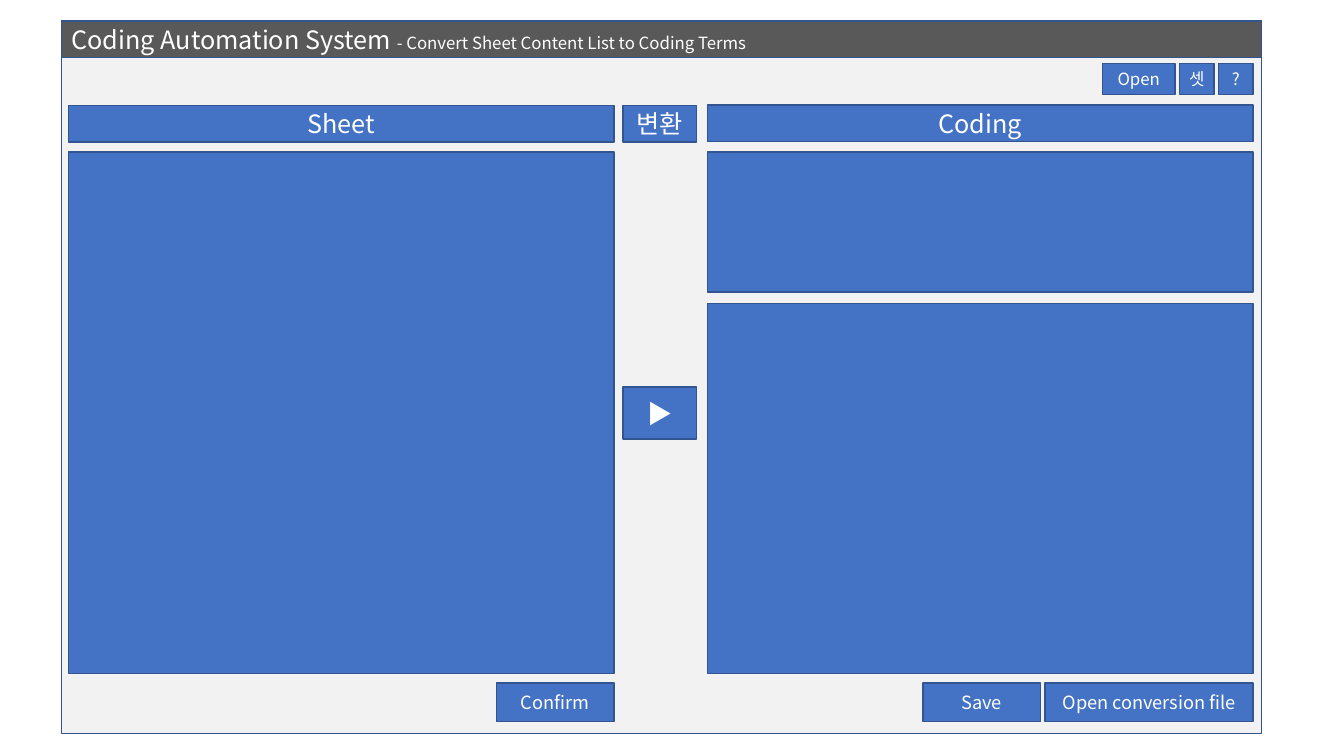
from lxml.etree import SubElement
from pptx import Presentation
from pptx.dml.color import RGBColor
from pptx.enum.shapes import MSO_SHAPE
from pptx.enum.text import MSO_ANCHOR, PP_ALIGN
from pptx.oxml.ns import qn
from pptx.util import Pt

FONT = "Noto Sans CJK KR"
BLUE, EDGE, WHITE = "4472C4", "325491", "FFFFFF"
GRAY, DARK = "F2F2F2", "595959"
LEFT, MID, RIGHT = 49, 445, 505.5
WIDE, SLIM = 389.5, 52.5
HEAD, GAP = 26, 3.3


def color(code):
    """Turn a hex string into a colour."""
    return RGBColor.from_string(code)


def add_run(para, text, size):
    """Add one white run in the slide font."""
    run = para.add_run()
    run.text = text
    run.font.size = Pt(size)
    run.font.name = FONT
    run.font.color.rgb = color(WHITE)
    SubElement(run._r.get_or_add_rPr(), qn("a:ea"), typeface=FONT)


def add_box(slide, x, y, w, h, fill=BLUE):
    """Draw an outlined rectangle."""
    box = slide.shapes.add_shape(MSO_SHAPE.RECTANGLE, Pt(x), Pt(y), Pt(w), Pt(h))
    box.shadow.inherit = False
    box.fill.solid()
    box.fill.fore_color.rgb = color(fill)
    box.line.color.rgb = color(EDGE)
    box.line.width = Pt(1)
    return box


def add_label(box, runs, align=PP_ALIGN.CENTER):
    """Write runs of text and size on one line in a box."""
    frame = box.text_frame
    frame.word_wrap = False
    frame.vertical_anchor = MSO_ANCHOR.MIDDLE
    para = frame.paragraphs[0]
    para.alignment = align
    for text, size in runs:
        add_run(para, text, size)


def add_button(slide, x, y, w, h, text, size=18):
    """Draw a blue box with a centred label."""
    add_label(add_box(slide, x, y, w, h), [(text, size)])


def add_row(slide, end, y, h, size, items):
    """Place buttons from right to left, starting at a right edge."""
    for text, w in items:
        add_button(slide, end - w, y, w, h, text, size)
        end -= w + GAP


def add_window(slide):
    """Draw the window and its title bar."""
    add_box(slide, 44, 15, 857, 509, GRAY)
    bar = add_box(slide, 44, 15, 857, HEAD, DARK)
    add_label(bar, [("Coding Automation System ", 18),
                    ("- Convert Sheet Content List to Coding Terms", 12)],
              PP_ALIGN.LEFT)


def main():
    """Build the slide and save it."""
    deck = Presentation()
    deck.slide_width, deck.slide_height = Pt(960), Pt(540)
    slide = deck.slides.add_slide(deck.slide_layouts[6])
    add_window(slide)
    for x, y, h in [(LEFT, 108.5, 372.5), (RIGHT, 108.5, 100), (RIGHT, 217, 264)]:
        add_box(slide, x, y, WIDE, h)
    add_button(slide, LEFT, 75.5, WIDE, HEAD, "Sheet")
    add_button(slide, MID, 75.5, SLIM, HEAD, "변환")
    add_button(slide, RIGHT, 75, WIDE, HEAD, "Coding")
    add_button(slide, MID, 276.5, SLIM, 37, "▶")
    add_row(slide, RIGHT + WIDE, 45.5, 22, 12,
            [("?", 24.5), ("셋", 24.5), ("Open", 52)])
    add_row(slide, RIGHT + WIDE, 488, 27.5, 13,
            [("Open conversion file", 148.5), ("Save", 84)])
    add_row(slide, LEFT + WIDE, 488, 27.5, 13, [("Confirm", 84)])
    deck.save("out.pptx")


main()
